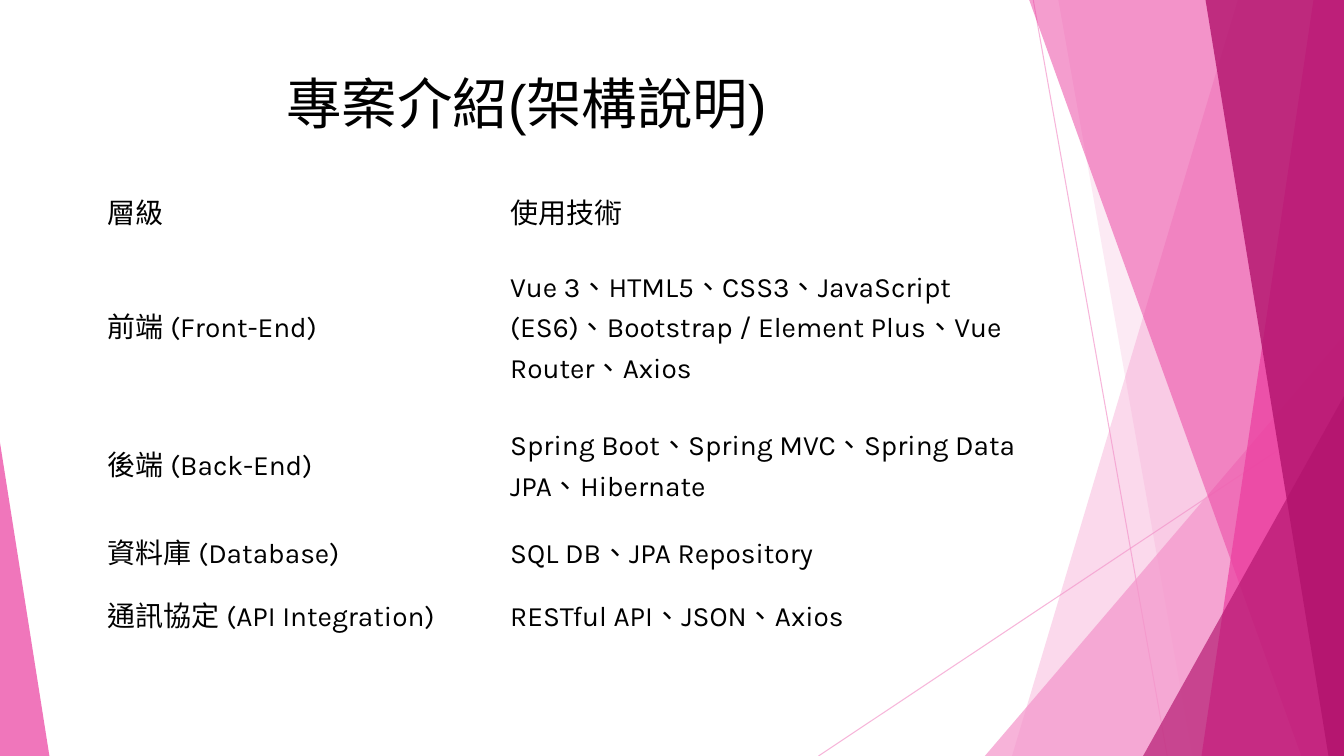
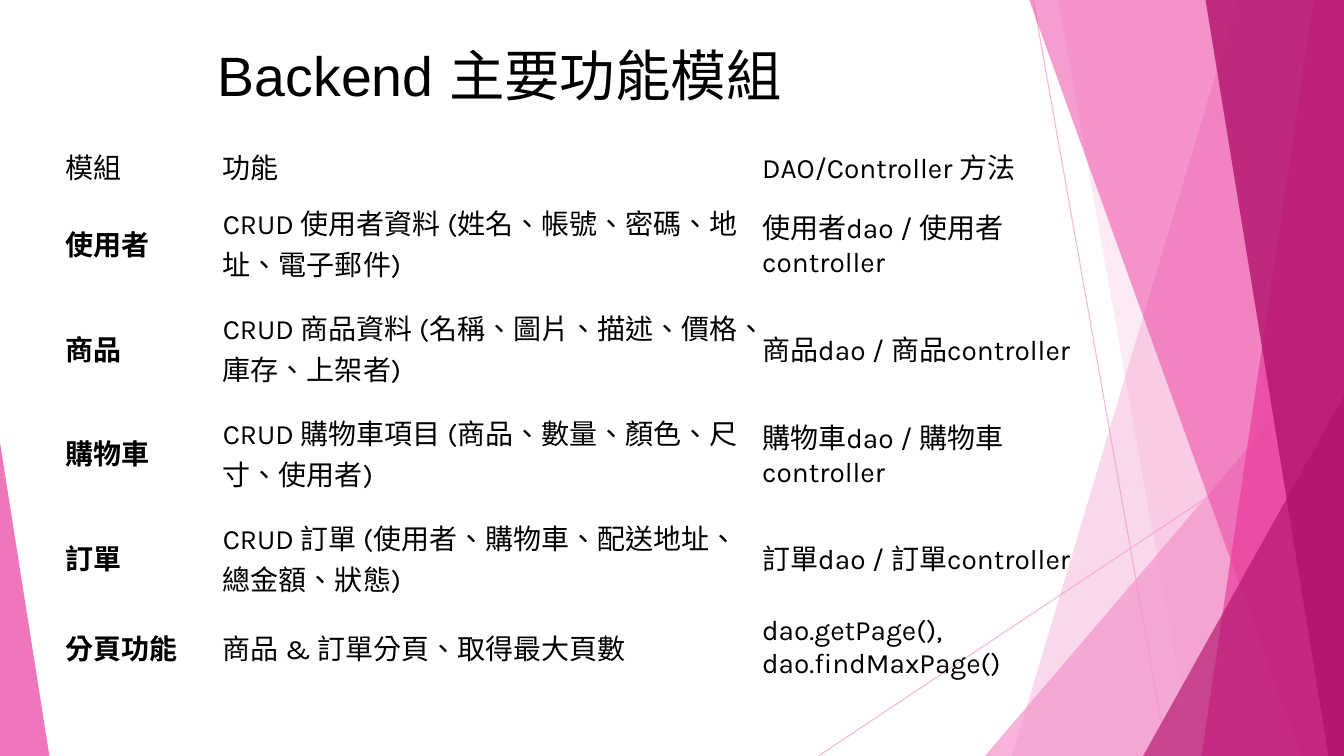
from lxml import etree
from pptx import Presentation
from pptx.dml.color import RGBColor
from pptx.enum.lang import MSO_LANGUAGE_ID
from pptx.enum.shapes import MSO_CONNECTOR, MSO_SHAPE
from pptx.enum.text import MSO_ANCHOR
from pptx.oxml.ns import qn
from pptx.util import Emu, Inches, Pt

TRIANGLE = MSO_SHAPE.ISOSCELES_TRIANGLE
STRAIGHT = MSO_CONNECTOR.STRAIGHT
MIDDLE = MSO_ANCHOR.MIDDLE
CHINESE = MSO_LANGUAGE_ID.TRADITIONAL_CHINESE

# Shared look
PALE, PINK, DEEP = "F496CB", "EB3D9F", "B2136D"
BLACK, WHITE = "000000", "FFFFFF"
TITLE_FONT, TITLE_SIZE = "Arial", 39.6
BODY_FONT, BODY_SIZE = "Karla", 20
PLAIN_TABLE = "{2D5ABB26-0587-4C30-8999-92F81FD0307C}"

presentation = Presentation()
presentation.slide_width = Inches(13.333)
presentation.slide_height = Inches(7.5)

# All lengths are percent of the slide's width or height
COLUMN = presentation.slide_width / 100
ROW = presentation.slide_height / 100


def place(*shares):
    """Turn alternating x and y percentages into lengths."""
    return [Emu(round(share * (ROW if index % 2 else COLUMN)))
            for index, share in enumerate(shares)]


def paint(fill, color, opacity=100):
    fill.solid()
    fill.fore_color.rgb = RGBColor.from_string(color)
    if opacity < 100:
        color_element = fill._xPr.find(qn("a:solidFill")).find(qn("a:srgbClr"))
        alpha = etree.SubElement(color_element, qn("a:alpha"))
        alpha.set("val", str(opacity * 1000))


# Thin lines: start x, start y, end x, end y
LINES = [(76.88, 0, 86.85, 100), (100, 53.73, 60.9, 100)]

# Decoration from back to front.
# A band runs from its slanted edge (top x, bottom x) to the right side;
# a triangle has a box (left, top, width, height) and an apex share.
DECORATION = [
    ("band", (92.1, 75.3), None, PALE, 36),
    ("band", (78.75, 88.73), None, PALE, 20),
    ("triangle", (73.28, 44.4, 26.72, 55.6), 1, PALE, 72),
    ("band", (76.58, 96.83), None, PINK, 50),
    ("band", (97.73, 89.4), None, PINK, 70),
    ("band", (89.7, 98.85), None, DEEP, 80),
    ("triangle", (85.05, 52.4, 14.95, 47.6), 1, DEEP, 66),
    ("triangle", (0, 58.53, 3.68, 41.47), 0, PINK, 70),
]

SLIDES = [
    {
        "title": "專案介紹(架構說明)",
        "title_box": (5.55, 8.93, 70.05, 9.33),
        "title_indent": 15.75,
        "table_corner": (7.28, 23.73),
        "columns": [29.93, 41.7],
        "rows": [8.4, 21.87, 14.67, 8.4, 8.4],
        "cell_margins": (0.75, 0.67),
        "bold_labels": False,
        "cells": [
            ("層級", "使用技術"),
            ("前端 (Front-End)",
             "Vue 3、HTML5、CSS3、JavaScript (ES6)、Bootstrap / Element Plus、"
             "Vue Router、Axios"),
            ("後端 (Back-End)", "Spring Boot、Spring MVC、Spring Data JPA、Hibernate"),
            ("資料庫 (Database)", "SQL DB、JPA Repository"),
            ("通訊協定 (API Integration)", "RESTful API、JSON、Axios"),
        ],
    },
    {
        "title": "Backend 主要功能模組",
        "title_box": (6.08, 5.2, 70.05, 9.33),
        "title_indent": 10.13,
        "table_corner": (4.28, 18.8),
        "columns": [11.7, 40.13, 25.43],
        "rows": [6.4, 13.87, 13.87, 13.87, 13.87, 9.73],
        "cell_margins": (0.6, 0.53),
        "bold_labels": True,
        "cells": [
            ("模組", "功能", "DAO/Controller 方法"),
            ("使用者", "CRUD 使用者資料 (姓名、帳號、密碼、地址、電子郵件)",
             "使用者dao / 使用者controller"),
            ("商品", "CRUD 商品資料 (名稱、圖片、描述、價格、庫存、上架者)",
             "商品dao / 商品controller"),
            ("購物車", "CRUD 購物車項目 (商品、數量、顏色、尺寸、使用者)",
             "購物車dao / 購物車controller"),
            ("訂單", "CRUD 訂單 (使用者、購物車、配送地址、總金額、狀態)",
             "訂單dao / 訂單controller"),
            ("分頁功能", "商品 & 訂單分頁、取得最大頁數",
             "dao.getPage(), dao.findMaxPage()"),
        ],
    },
]

for content in SLIDES:
    slide = presentation.slides.add_slide(presentation.slide_layouts[6])
    paint(slide.background.fill, WHITE)
    shapes = slide.shapes

    # Thin lines
    for ends in LINES:
        connector = shapes.add_connector(STRAIGHT, *place(*ends))
        connector.line.width = Pt(0.75)
        paint(connector.line.fill, PALE, 70)
        etree.SubElement(connector._element.spPr, qn("a:effectLst"))

    # Bands and triangles
    for kind, geometry, apex, color, opacity in DECORATION:
        if kind == "band":
            top_x, bottom_x = geometry
            outline = shapes.build_freeform(*place(top_x, 0))
            outline.add_line_segments(
                [place(100, 0), place(100, 100), place(bottom_x, 100)], close=True)
            shape = outline.convert_to_shape()
        else:
            shape = shapes.add_shape(TRIANGLE, *place(*geometry))
            shape.adjustments[0] = apex
        shape.shadow.inherit = False
        shape.line.fill.background()
        paint(shape.fill, color, opacity)

    # Title
    title = shapes.add_textbox(*place(*content["title_box"])).text_frame
    title.word_wrap = True
    title.vertical_anchor = MIDDLE
    title.margin_left = place(content["title_indent"])[0]
    run = title.paragraphs[0].add_run()
    run.text = content["title"]
    run.font.name = TITLE_FONT
    run.font.size = Pt(TITLE_SIZE)
    run.font.language_id = CHINESE
    paint(run.font.fill, BLACK)

    # Table
    columns, rows = content["columns"], content["rows"]
    table = shapes.add_table(
        len(rows), len(columns),
        *place(*content["table_corner"], sum(columns), sum(rows))).table
    table.first_row = table.horz_banding = False
    table._tbl.tblPr.find(qn("a:tableStyleId")).text = PLAIN_TABLE
    for column, share in zip(table.columns, columns):
        column.width = place(share)[0]
    side_margin, edge_margin = place(*content["cell_margins"])
    for row_index, (row, share) in enumerate(zip(table.rows, rows)):
        row.height = place(0, share)[1]
        for column_index, cell in enumerate(row.cells):
            cell.fill.background()
            cell.vertical_anchor = MIDDLE
            cell.margin_left = cell.margin_right = side_margin
            cell.margin_top = cell.margin_bottom = edge_margin
            run = cell.text_frame.paragraphs[0].add_run()
            run.text = content["cells"][row_index][column_index]
            run.font.name = BODY_FONT
            run.font.size = Pt(BODY_SIZE)
            run.font.bold = (content["bold_labels"] and row_index > 0
                             and column_index == 0)
            run.font.language_id = CHINESE
            paint(run.font.fill, BLACK)

presentation.save("out.pptx")
